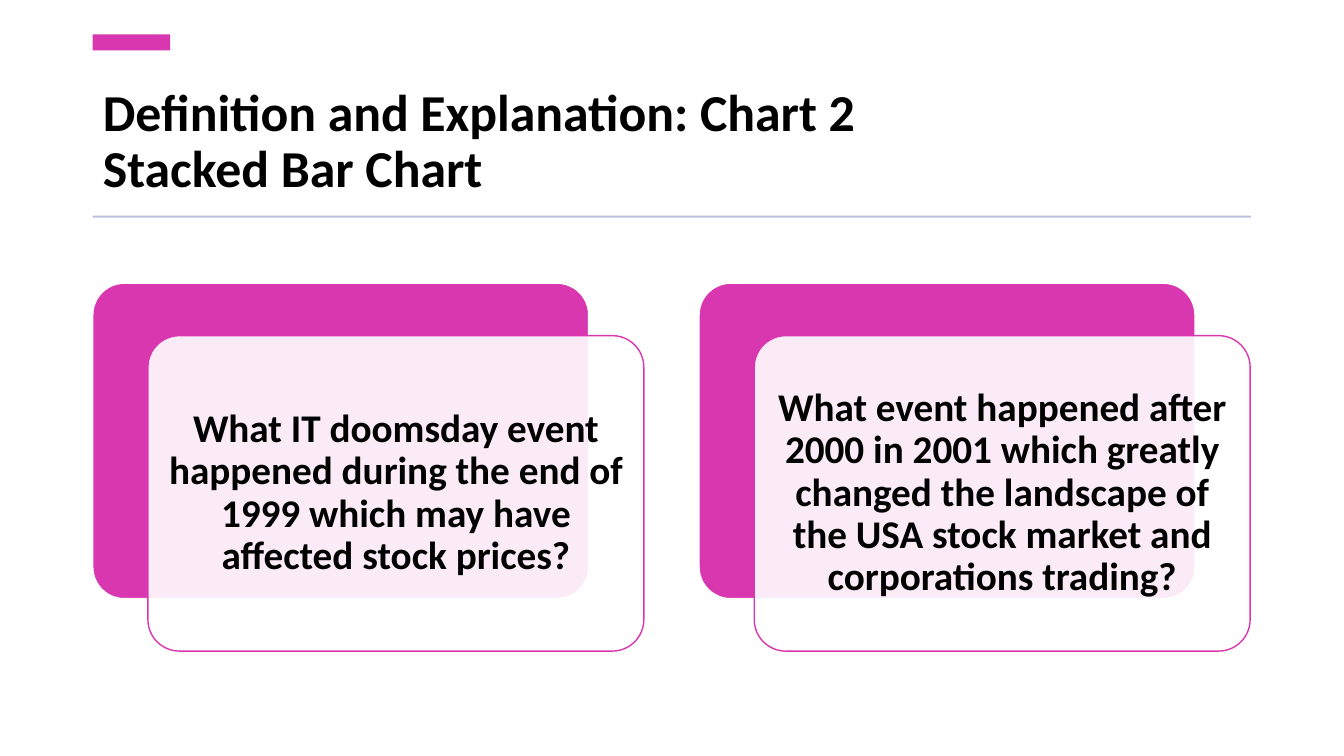
from lxml import etree
from pptx import Presentation
from pptx.dml.color import RGBColor
from pptx.enum.shapes import MSO_SHAPE
from pptx.enum.text import MSO_ANCHOR, MSO_AUTO_SIZE, PP_ALIGN
from pptx.oxml.ns import qn
from pptx.util import Pt

RECT = MSO_SHAPE.RECTANGLE
ROUNDED = MSO_SHAPE.ROUNDED_RECTANGLE
MIDDLE = MSO_ANCHOR.MIDDLE
BOTTOM = MSO_ANCHOR.BOTTOM
LEFT = PP_ALIGN.LEFT
CENTER = PP_ALIGN.CENTER
NO_FIT = MSO_AUTO_SIZE.NONE

MARGIN = 66.24
CONTENT_WIDTH = 827.28
CARD_WIDTH, CARD_HEIGHT = 354.24, 225.36
CARD_TOP, CARD_STEP = 202.32, 433.08
OFFSET_X, OFFSET_Y = 39.4, 37.44

QUESTIONS = [
    "What IT doomsday event happened during the end of 1999 "
    "which may have affected stock prices?",
    "What event happened after 2000 in 2001 which greatly changed "
    "the landscape of the USA stock market and corporations trading?",
]


def color(hex_code):
    return RGBColor.from_string(hex_code)


class QuestionSlide:
    font = "Calibri"
    ink = "000000"
    paper = "FFFFFF"
    accent = "D937B0"
    rule = "B9C2D8"

    def __init__(self, deck):
        self.slide = deck.slides.add_slide(deck.slide_layouts[5])

    def add_lines(self, paragraph, lines, size, align):
        paragraph.alignment = align
        paragraph.line_spacing = 0.9
        for index, line in enumerate(lines):
            if index:
                paragraph.add_line_break()
            run = paragraph.add_run()
            run.text = line
            run.font.name = self.font
            run.font.size = Pt(size)
            run.font.bold = True
            run.font.color.rgb = color(self.ink)

    def title(self, lines, left, top, width, height):
        heading = self.slide.shapes.title
        heading.left, heading.top = Pt(left), Pt(top)
        heading.width, heading.height = Pt(width), Pt(height)
        frame = heading.text_frame
        frame.word_wrap = True
        frame.auto_size = NO_FIT
        frame.vertical_anchor = BOTTOM
        self.add_lines(frame.paragraphs[0], lines, 37, LEFT)

    def block(self, kind, left, top, width, height, fill, outline=None):
        block = self.slide.shapes.add_shape(
            kind, Pt(left), Pt(top), Pt(width), Pt(height))
        block.shadow.inherit = False
        block.fill.solid()
        block.fill.fore_color.rgb = color(fill)
        if outline:
            block.line.color.rgb = color(outline)
            block.line.width = Pt(1)
        else:
            block.line.fill.background()
        if kind == ROUNDED:
            block.adjustments[0] = 0.1
        return block

    def card(self, question, left, top):
        self.block(ROUNDED, left, top, CARD_WIDTH, CARD_HEIGHT,
                   self.accent, self.paper)
        front = self.block(ROUNDED, left + OFFSET_X, top + OFFSET_Y,
                           CARD_WIDTH, CARD_HEIGHT, self.paper, self.accent)
        tint = front.element.spPr.find(qn("a:solidFill"))[0]
        etree.SubElement(tint, qn("a:alpha"), val="90000")
        frame = front.text_frame
        frame.word_wrap = True
        frame.vertical_anchor = MIDDLE
        frame.margin_left = frame.margin_right = Pt(8.4)
        frame.margin_top = frame.margin_bottom = Pt(8.4)
        self.add_lines(frame.paragraphs[0], [question], 28, CENTER)


def main():
    deck = Presentation()
    deck.slide_width, deck.slide_height = Pt(960), Pt(540)
    page = QuestionSlide(deck)
    page.title(["Definition and Explanation: Chart 2", "Stacked Bar Chart"],
               MARGIN, 54, CONTENT_WIDTH, 91.44)
    page.block(RECT, MARGIN, 24.6, 55.4, 11.5, page.accent)
    page.block(RECT, MARGIN, 154.1, CONTENT_WIDTH, 1.44, page.rule)
    for column, question in enumerate(QUESTIONS):
        page.card(question, MARGIN + column * CARD_STEP, CARD_TOP)
    deck.save("out.pptx")


if __name__ == "__main__":
    main()
